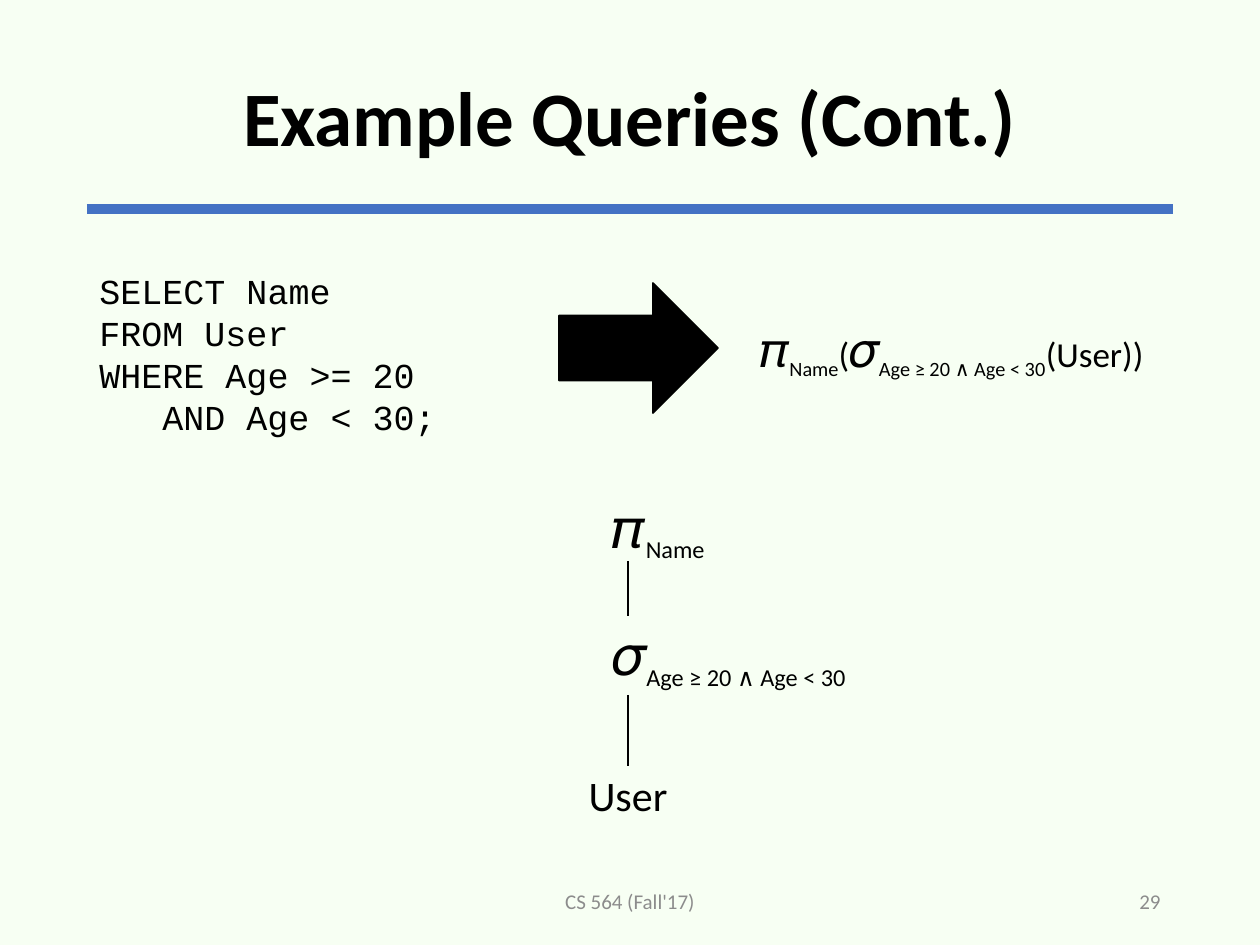
from dataclasses import dataclass

from lxml import etree
from pptx import Presentation
from pptx.dml.color import RGBColor
from pptx.enum.shapes import MSO_CONNECTOR, MSO_SHAPE
from pptx.enum.text import MSO_ANCHOR, PP_ALIGN
from pptx.oxml.ns import qn
from pptx.slide import Slide
from pptx.util import Pt

LEFT, CENTER, RIGHT = PP_ALIGN.LEFT, PP_ALIGN.CENTER, PP_ALIGN.RIGHT
TOP, MIDDLE = MSO_ANCHOR.TOP, MSO_ANCHOR.MIDDLE
STRAIGHT, RIGHT_ARROW = MSO_CONNECTOR.STRAIGHT, MSO_SHAPE.RIGHT_ARROW

CONDITION = "Age ≥ 20 ∧ Age < 30"
SQL = "SELECT Name\nFROM User\nWHERE Age >= 20\n\tAND Age < 30;"


def px(length):
    return round(length * 914400 / 126)


def color(value):
    return RGBColor.from_string(value)


@dataclass
class QuerySlide:
    """Holds the style and the slide that its methods draw on."""

    slide: Slide
    ink: str = "000000"
    accent: str = "4472C4"
    muted: str = "8C8C8C"
    paper: str = "F7FFF3"
    font: str = "Calibri"
    code_font: str = "Courier New"

    def background(self):
        fill = self.slide.background.fill
        fill.solid()
        fill.fore_color.rgb = color(self.paper)

    def box(self, bounds, anchor, wrap):
        frame = self.slide.shapes.add_textbox(*map(px, bounds)).text_frame
        frame.word_wrap = wrap
        frame.vertical_anchor = anchor
        return frame

    def style(self, run, size, fill=None, font=None, bold=False):
        run.font.size = Pt(size)
        run.font.name = font or self.font
        run.font.bold = bold
        run.font.color.rgb = color(fill or self.ink)

    def text(self, text, bounds, size, align=CENTER, anchor=MIDDLE, wrap=True,
             spacing=1.0, **style):
        frame = self.box(bounds, anchor, wrap)
        frame.text = text
        for paragraph in frame.paragraphs:
            paragraph.alignment = align
            paragraph.line_spacing = spacing
            for run in paragraph.runs:
                self.style(run, size, **style)

    def formula(self, parts, bounds, align=LEFT, anchor=MIDDLE):
        paragraph = self.box(bounds, anchor, False).paragraphs[0]
        paragraph.alignment = align
        for text, size, baseline in parts:
            run = paragraph.add_run()
            run.text = text
            self.style(run, size)
            if baseline:
                run.font._element.set("baseline", str(baseline * 1000))

    def line(self, start, end, width, fill=None):
        connector = self.slide.shapes.add_connector(
            STRAIGHT, *map(px, start + end))
        connector.line.width = Pt(width)
        connector.line.color.rgb = color(fill or self.ink)
        etree.SubElement(connector._element.spPr, qn("a:effectLst"))

    def arrow(self, bounds):
        shape = self.slide.shapes.add_shape(RIGHT_ARROW, *map(px, bounds))
        shape.shadow.inherit = False
        shape.fill.solid()
        shape.fill.fore_color.rgb = color(self.ink)
        shape.line.color.rgb = color(self.ink)
        shape.line.width = Pt(1)


def operator(symbol, subscript, symbol_size, subscript_size):
    return [(symbol, symbol_size, 0), (subscript, subscript_size, -25)]


def main():
    presentation = Presentation()
    presentation.slide_width, presentation.slide_height = px(1260), px(945)
    page = QuerySlide(
        presentation.slides.add_slide(presentation.slide_layouts[6]))
    page.background()

    page.line((87, 209), (1173, 209), 6, page.accent)
    page.text("Example Queries (Cont.)", (87, 30, 1086, 183), 44,
              spacing=0.9, bold=True)
    page.text("CS 564 (Fall'17)", (417, 876, 426, 50), 12, fill=page.muted)
    page.text("29", (890, 876, 283, 50), 12, RIGHT, fill=page.muted)

    page.text(SQL, (87, 263, 431, 181), 20, LEFT, TOP, wrap=False,
              font=page.code_font)
    page.arrow((559, 283, 159, 130))
    page.formula(
        operator("𝜋", "Name", 28, 20) + [("(", 20, 0)]
        + operator("𝜎", CONDITION, 28, 20) + [("(User))", 20, 0)],
        (731, 312, 442, 72), CENTER, TOP)

    page.formula(operator("𝜋", "Name", 32, 24), (600, 496, 120, 64))
    page.formula(operator("𝜎", CONDITION, 32, 24), (600, 616, 262, 79))
    page.text("User", (576, 766, 104, 57), 24, wrap=False)
    for top, bottom in ((561, 616), (695, 766)):
        page.line((628, top), (628, bottom), 1.5)

    presentation.save("out.pptx")


if __name__ == "__main__":
    main()
